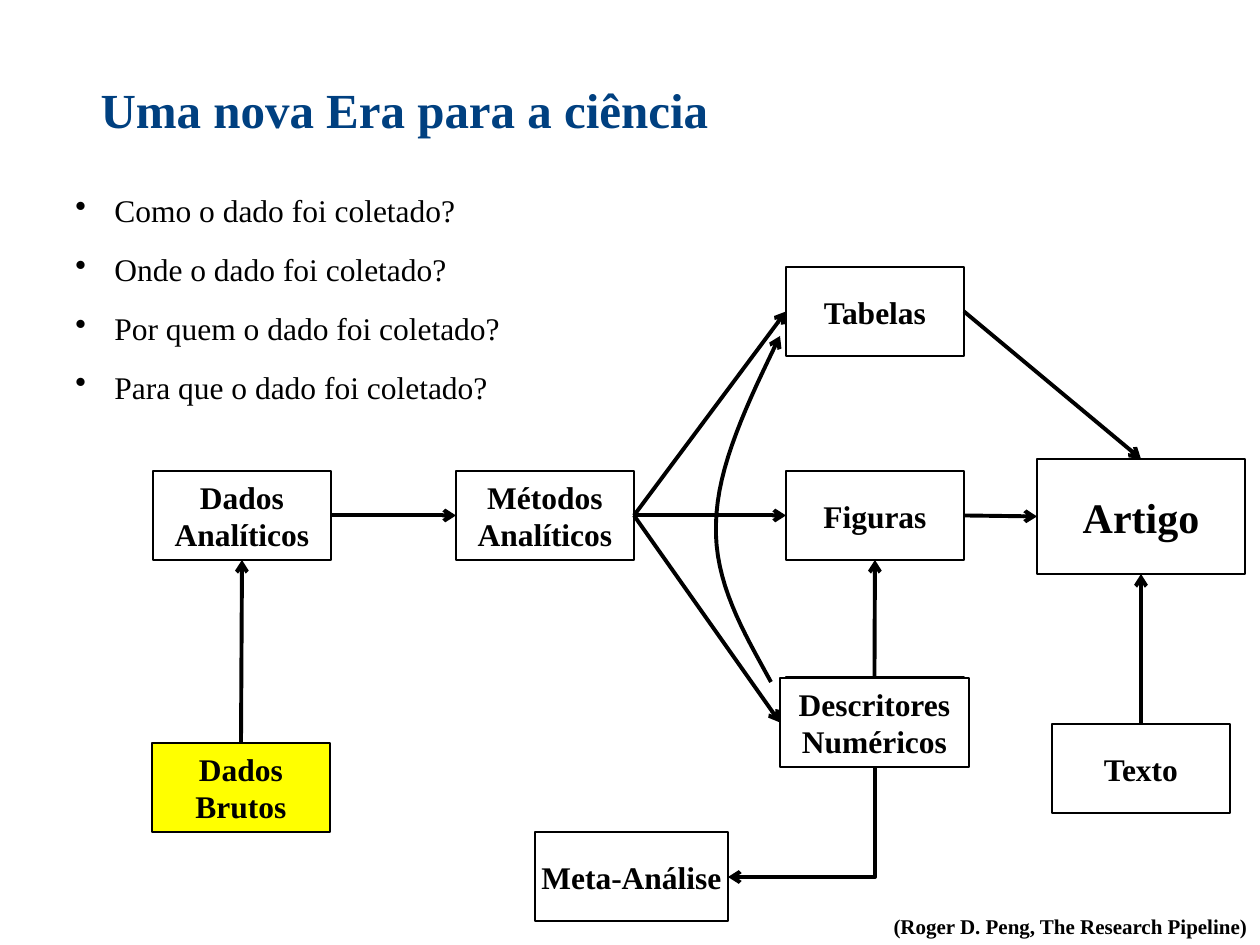
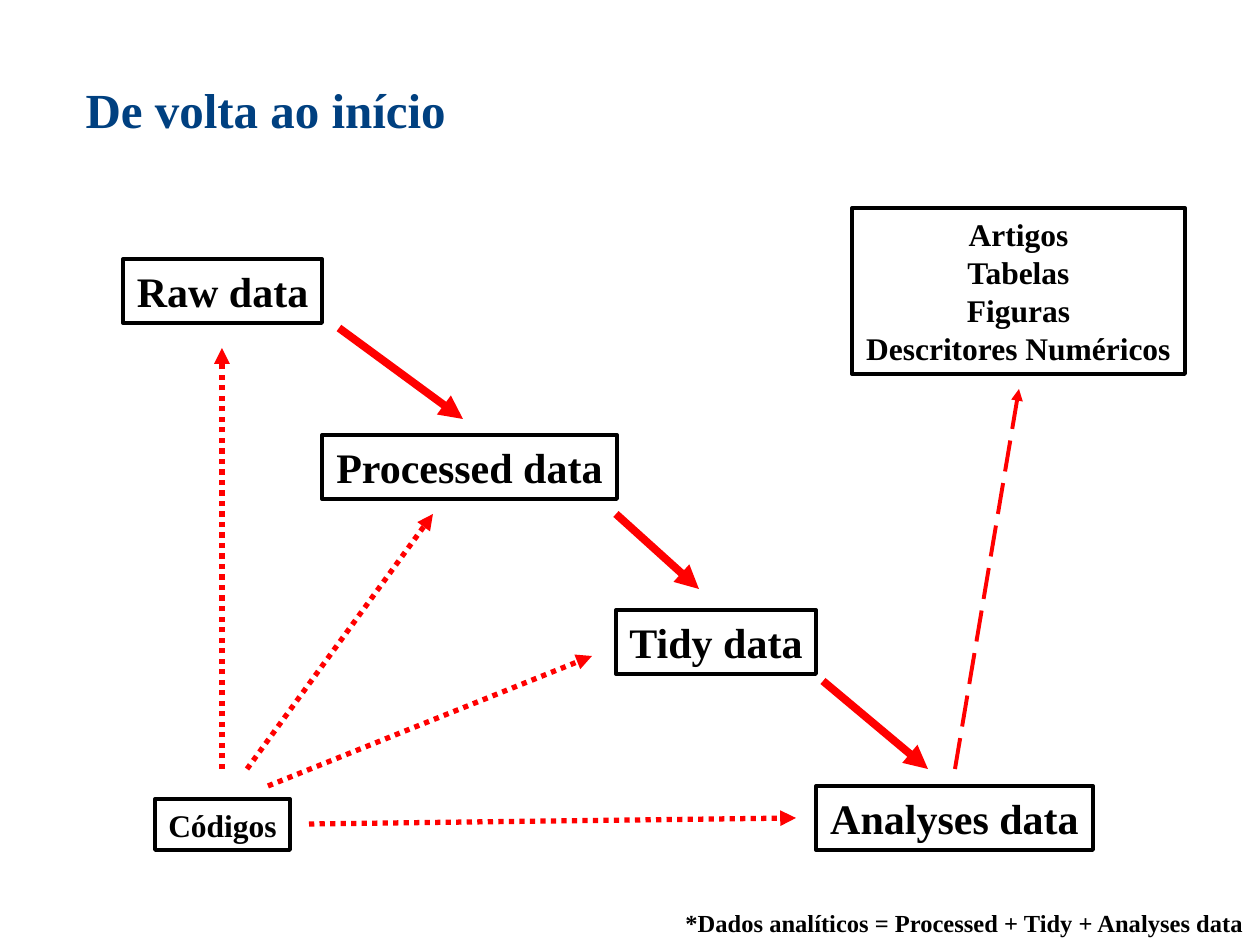
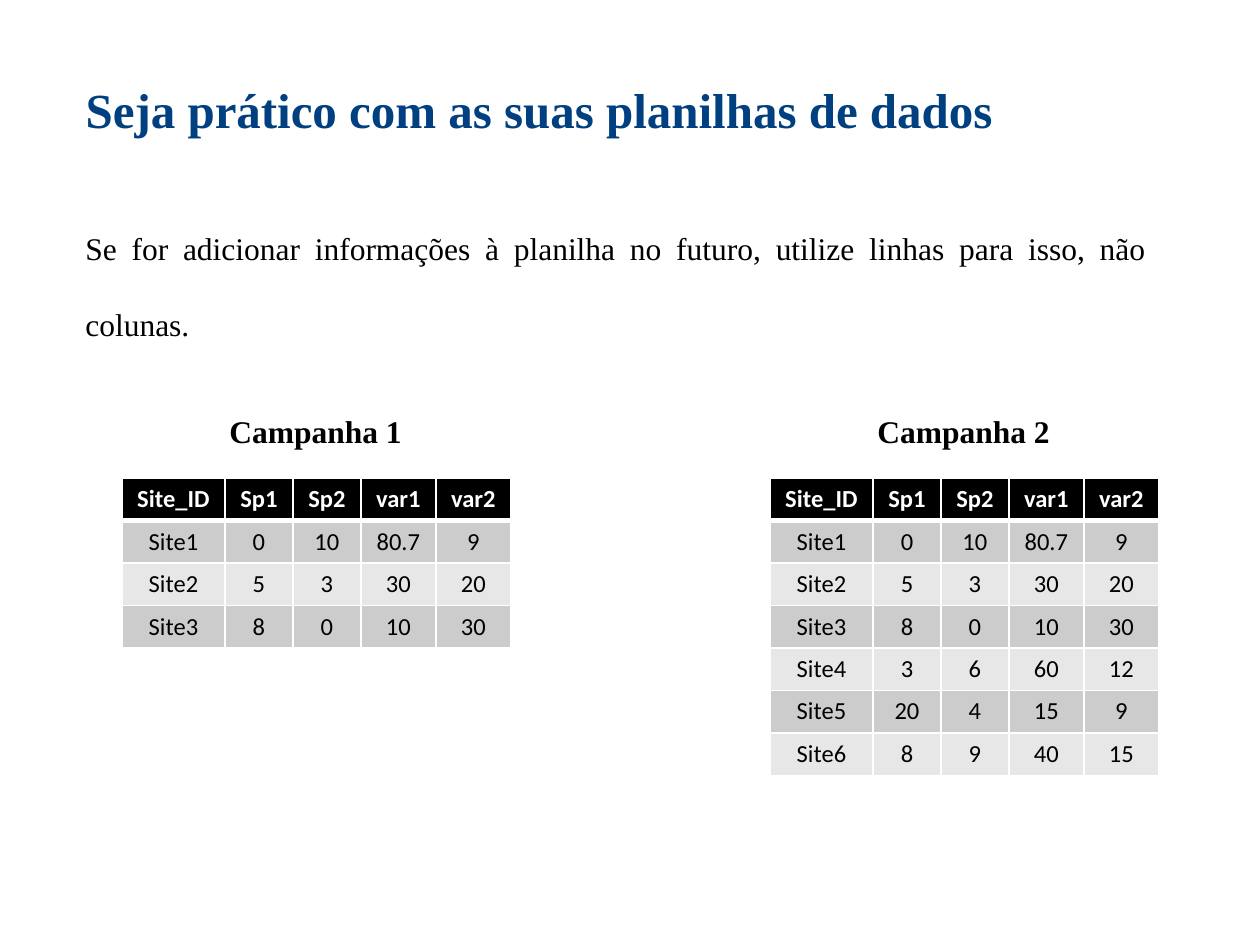
from dataclasses import dataclass

from lxml import etree
from pptx import Presentation
from pptx import util as u
from pptx.dml.color import RGBColor
from pptx.enum import dml, shapes, text
from pptx.oxml import ns

PX_PER_INCH = 126
TOP, LEFT, BOTTOM, RIGHT = range(4)
ALIGN = text.PP_ALIGN


@dataclass(frozen=True)
class Theme:
    serif: str = "Times New Roman"
    sans: str = "Calibri"
    title_blue: str = "004080"
    black: str = "000000"
    white: str = "FFFFFF"
    red: str = "FF0000"
    yellow: str = "FFFF00"
    bands: tuple = ("CCCCCC", "E7E7E7")
    title_size: int = 28
    large: int = 24
    body: int = 18
    small: int = 14
    credit: int = 12


THEME = Theme()


def px(length):
    return u.Emu(round(length * u.Inches(1) / PX_PER_INCH))


def assign(target, values):
    for name, value in values.items():
        setattr(target, name, value)


def style_font(font, size, color=THEME.black, bold=False, name=THEME.serif):
    assign(font, {"name": name, "size": u.Pt(size), "bold": bold})
    font.color.rgb = RGBColor.from_string(color)


def write(frame, words, size, align=ALIGN.LEFT, wrap=True, spacing=0, leading=None,
          anchor=text.MSO_ANCHOR.TOP, bullet=False, **font):
    """Fill a text frame, one paragraph for each line of words."""
    frame.text = words
    assign(frame, {"word_wrap": wrap, "vertical_anchor": anchor,
                   "auto_size": text.MSO_AUTO_SIZE.NONE})
    for index, paragraph in enumerate(frame.paragraphs):
        if bullet:
            add_bullet(paragraph)
        assign(paragraph, {"alignment": align, "line_spacing": leading,
                           "space_before": u.Pt(spacing if index else 0),
                           "space_after": u.Pt(spacing)})
        for run in paragraph.runs:
            style_font(run.font, size, **font)


def add_bullet(paragraph):
    properties = paragraph._p.get_or_add_pPr()
    properties.set("marL", str(px(39)))
    properties.set("indent", str(px(-39)))
    etree.SubElement(properties, ns.qn("a:buChar"), char="•")


def add_slide(deck, title, left, width):
    slide = deck.slides.add_slide(deck.slide_layouts[5])
    heading = slide.shapes.title
    assign(heading, {"left": px(left), "top": px(73),
                     "width": px(width), "height": px(72)})
    write(heading.text_frame, title, THEME.title_size,
          color=THEME.title_blue, bold=True)
    return slide


def add_text(slide, words, left, top, width, height, size, **style):
    label = slide.shapes.add_textbox(px(left), px(top), px(width), px(height))
    write(label.text_frame, words, size, **style)


def add_box(slide, words, left, top, width, height, size=THEME.body,
            fill=None, weight=1, wrap=False):
    box = slide.shapes.add_shape(shapes.MSO_SHAPE.RECTANGLE, px(left), px(top),
                                 px(width), px(height))
    box.shadow.inherit = False
    if fill:
        box.fill.solid()
        box.fill.fore_color.rgb = RGBColor.from_string(fill)
    else:
        box.fill.background()
    style_line(box, THEME.black, weight)
    write(box.text_frame, words, size, align=ALIGN.CENTER, wrap=wrap,
          anchor=text.MSO_ANCHOR.MIDDLE, bold=True)
    return box


def style_line(shape, color, weight, dash=None, head=None):
    shape.line.color.rgb = RGBColor.from_string(color)
    shape.line.width = u.Pt(weight)
    if dash:
        shape.line.dash_style = dash
    if head:
        outline = shape._element.spPr.find(ns.qn("a:ln"))
        etree.SubElement(outline, ns.qn("a:tailEnd"), type=head)


def add_arrow(slide, start, end, color=THEME.black, weight=2.25, dash=None,
              head="arrow", kind=shapes.MSO_CONNECTOR.STRAIGHT):
    arrow = slide.shapes.add_connector(kind, *map(px, (*start, *end)))
    style_line(arrow, color, weight, dash, head)
    etree.SubElement(arrow._element.spPr, ns.qn("a:effectLst"))
    return arrow


def join(slide, source, source_side, target, target_side):
    arrow = add_arrow(slide, (0, 0), (0, 0))
    arrow.begin_connect(source, source_side)
    arrow.end_connect(target, target_side)


def add_corner_arrow(slide, start, end):
    """Arrow going straight down from start, then left to end."""
    across, down = start[0] - end[0], end[1] - start[1]
    left = (start[0] + end[0] - down) / 2
    top = (start[1] + end[1] - across) / 2
    arrow = add_arrow(slide, (left, top), (left + down, top + across),
                      kind=shapes.MSO_CONNECTOR.ELBOW)
    properties = arrow._element.spPr
    properties.find(ns.qn("a:xfrm")).set("rot", str(90 * 60000))
    properties.find(ns.qn("a:prstGeom")).set("prst", "bentConnector2")


def bezier(points, steps=16):
    """Points along a cubic curve, without its start."""
    for step in range(1, steps + 1):
        t = step / steps
        weights = ((1 - t) ** 3, 3 * t * (1 - t) ** 2, 3 * t * t * (1 - t), t ** 3)
        yield tuple(px(sum(w * p[axis] for w, p in zip(weights, points)))
                    for axis in (0, 1))


def add_curved_arrow(slide, points):
    """Arrow along joined cubic curves; each curve starts where the last ended."""
    builder = slide.shapes.build_freeform(*map(px, points[0]))
    for first in range(0, len(points) - 1, 3):
        builder.add_line_segments(list(bezier(points[first:first + 4])), close=False)
    curve = builder.convert_to_shape()
    curve.shadow.inherit = False
    curve.fill.background()
    style_line(curve, THEME.black, 2.25, head="arrow")


def set_borders(cell, **weights):
    properties = cell._tc.get_or_add_tcPr()
    for side in "LRTB":
        border = etree.SubElement(properties, ns.qn(f"a:ln{side}"),
                                  w=str(u.Pt(weights.get(side, 1))))
        fill = etree.SubElement(border, ns.qn("a:solidFill"))
        etree.SubElement(fill, ns.qn("a:srgbClr"), val=THEME.white)


def add_data_table(slide, rows, left, top):
    widths, row_height = (103, 68, 68, 75, 75), 42
    table = slide.shapes.add_table(len(rows), len(widths), px(left), px(top),
                                   px(sum(widths)), px(row_height * len(rows))).table
    for column, width in zip(table.columns, widths):
        column.width = px(width)
    for r, values in enumerate(rows):
        table.rows[r].height = px(row_height)
        header = r == 0
        fill = THEME.black if header else THEME.bands[(r - 1) % 2]
        for c, value in enumerate(values):
            cell = table.cell(r, c)
            set_borders(cell, B=3 if header else 1, T=3 if r == 1 else 1)
            cell.fill.solid()
            cell.fill.fore_color.rgb = RGBColor.from_string(fill)
            cell.text = value
            paragraph = cell.text_frame.paragraphs[0]
            paragraph.alignment = ALIGN.CENTER
            style_font(paragraph.runs[0].font, THEME.small, name=THEME.sans,
                       bold=header, color=THEME.white if header else THEME.black)


def build_pipeline(deck):
    slide = add_slide(deck, "Uma nova Era para a ciência", 88, 642)
    add_text(slide, "Como o dado foi coletado?\nOnde o dado foi coletado?\n"
             "Por quem o dado foi coletado?\nPara que o dado foi coletado?",
             63, 185, 513, 229, THEME.body, spacing=6, bullet=True)

    def step(words, left, top, width=178, height=89, fill=THEME.white, **style):
        return add_box(slide, words, left, top, width, height, fill=fill, **style)

    article = step("Artigo", 1037, 459, 208, 115, size=THEME.large)
    tables = step("Tabelas", 786, 267)
    figures = step("Figuras", 786, 471)
    prose = step("Texto", 1052, 724)
    step("", 786, 677)
    numbers = step("Descritores Numéricos", 780, 678, 189, weight=0.75, wrap=True)
    step("Meta-Análise", 535, 832, 193)
    methods = step("Métodos\nAnalíticos", 456, 471)
    analytic = step("Dados\nAnalíticos", 153, 471)
    raw = step("Dados\nBrutos", 152, 743, fill=THEME.yellow)

    add_curved_arrow(slide, [(771, 682), (743, 631), (714, 582), (716, 524),
                             (717, 466), (748, 402), (780, 336)])
    for link in ((raw, TOP, analytic, BOTTOM),
                 (analytic, RIGHT, methods, LEFT),
                 (methods, RIGHT, tables, LEFT),
                 (methods, RIGHT, figures, LEFT),
                 (methods, RIGHT, numbers, LEFT),
                 (numbers, TOP, figures, BOTTOM),
                 (tables, RIGHT, article, TOP),
                 (figures, RIGHT, article, LEFT),
                 (prose, TOP, article, BOTTOM)):
        join(slide, *link)
    add_corner_arrow(slide, (875, 767), (728, 877))
    add_text(slide, "(Roger D. Peng, The Research Pipeline)", 845, 907, 415, 38,
             THEME.credit, align=ALIGN.RIGHT, bold=True)


def build_data_stages(deck):
    slide = add_slide(deck, "De volta ao início", 73, 392)
    stages = (("Raw data", 123, 199), ("Processed data", 322, 295),
              ("Tidy data", 616, 200), ("Analyses data", 816, 277))
    for index, (stage, left, width) in enumerate(stages):
        add_box(slide, stage, left, 259 + round(index * 175.7), width, 64,
                THEME.large, weight=2.25)
    add_box(slide, "Artigos\nTabelas\nFiguras\nDescritores Numéricos",
            852, 208, 333, 166, weight=2.25)
    add_box(slide, "Códigos", 155, 799, 135, 51, weight=2.25)

    flow = {"weight": 4.5}
    coding = {"weight": 3, "dash": dml.MSO_LINE.ROUND_DOT}
    publishing = {"weight": 2.25, "dash": dml.MSO_LINE.LONG_DASH}
    for start, end, style in (((339, 328), (463, 419), flow),
                              ((616, 514), (699, 589), flow),
                              ((823, 681), (928, 769), flow),
                              ((222, 769), (222, 348), coding),
                              ((247, 769), (433, 514), coding),
                              ((268, 786), (592, 656), coding),
                              ((309, 824), (796, 818), coding),
                              ((955, 769), (1019, 389), publishing)):
        add_arrow(slide, start, end, THEME.red, head="triangle", **style)
    add_text(slide, "*Dados analíticos = Processed + Tidy + Analyses data",
             673, 902, 587, 43, THEME.small, bold=True)


def build_spreadsheets(deck):
    slide = add_slide(deck, "Seja prático com as suas planilhas de dados", 73, 1110)
    add_text(slide, "Se for adicionar informações à planilha no futuro, "
             "utilize linhas para isso, não colunas.", 73, 185, 1086, 165,
             THEME.body, align=ALIGN.JUSTIFY, leading=2.0, spacing=6)
    rows = [line.split() for line in ("Site_ID Sp1 Sp2 var1 var2",
                                      "Site1 0 10 80.7 9",
                                      "Site2 5 3 30 20",
                                      "Site3 8 0 10 30",
                                      "Site4 3 6 60 12",
                                      "Site5 20 4 15 9",
                                      "Site6 8 9 40 15")]
    for campaign, left, count in (("Campanha 1", 122, 4), ("Campanha 2", 770, 7)):
        add_data_table(slide, rows[:count], left, 478)
        add_text(slide, campaign, left + 95, 406, 200, 51, THEME.body, bold=True)


def main():
    deck = Presentation()
    assign(deck, {"slide_width": px(1260), "slide_height": px(945)})
    build_pipeline(deck)
    build_data_stages(deck)
    build_spreadsheets(deck)
    deck.save("out.pptx")


if __name__ == "__main__":
    main()
